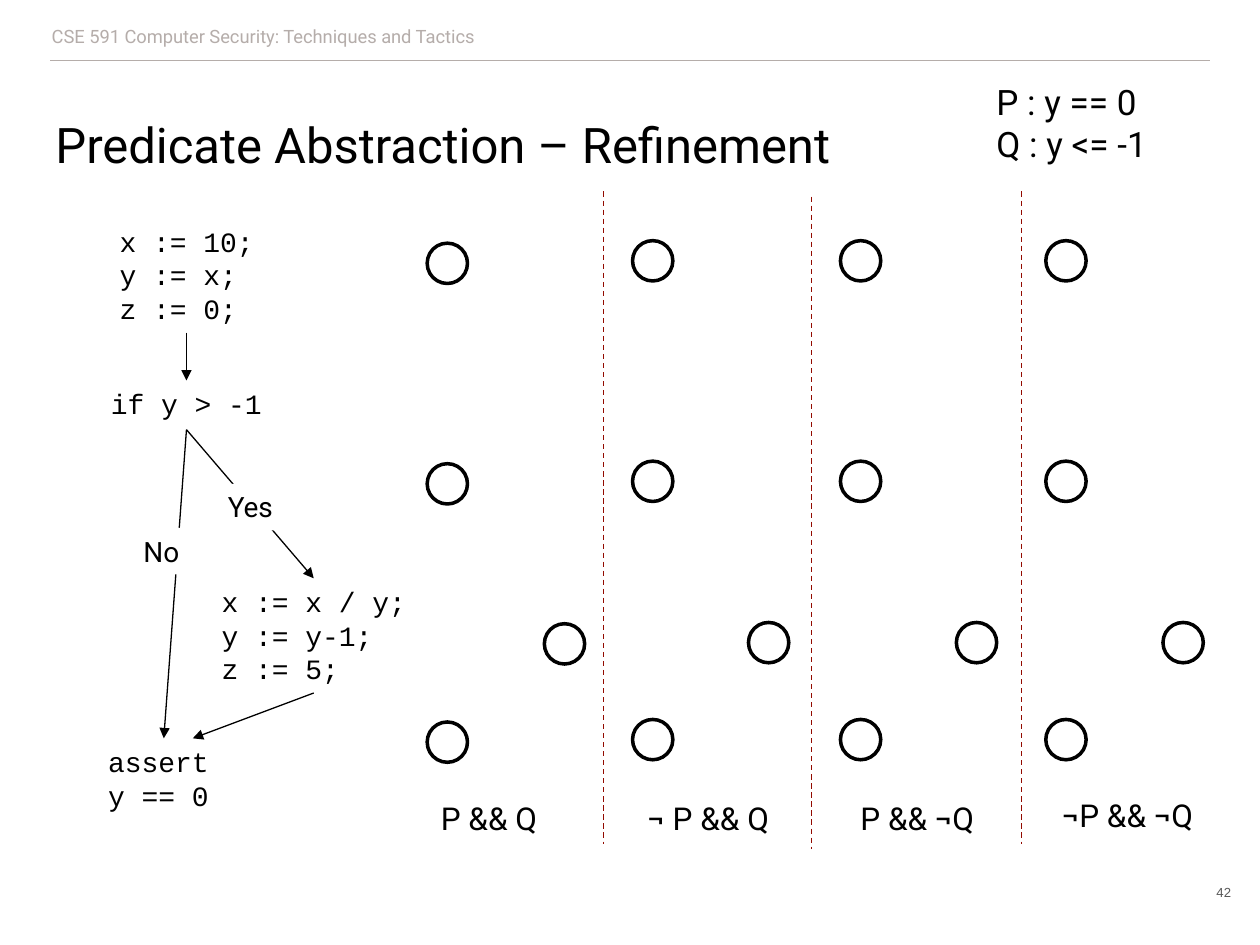
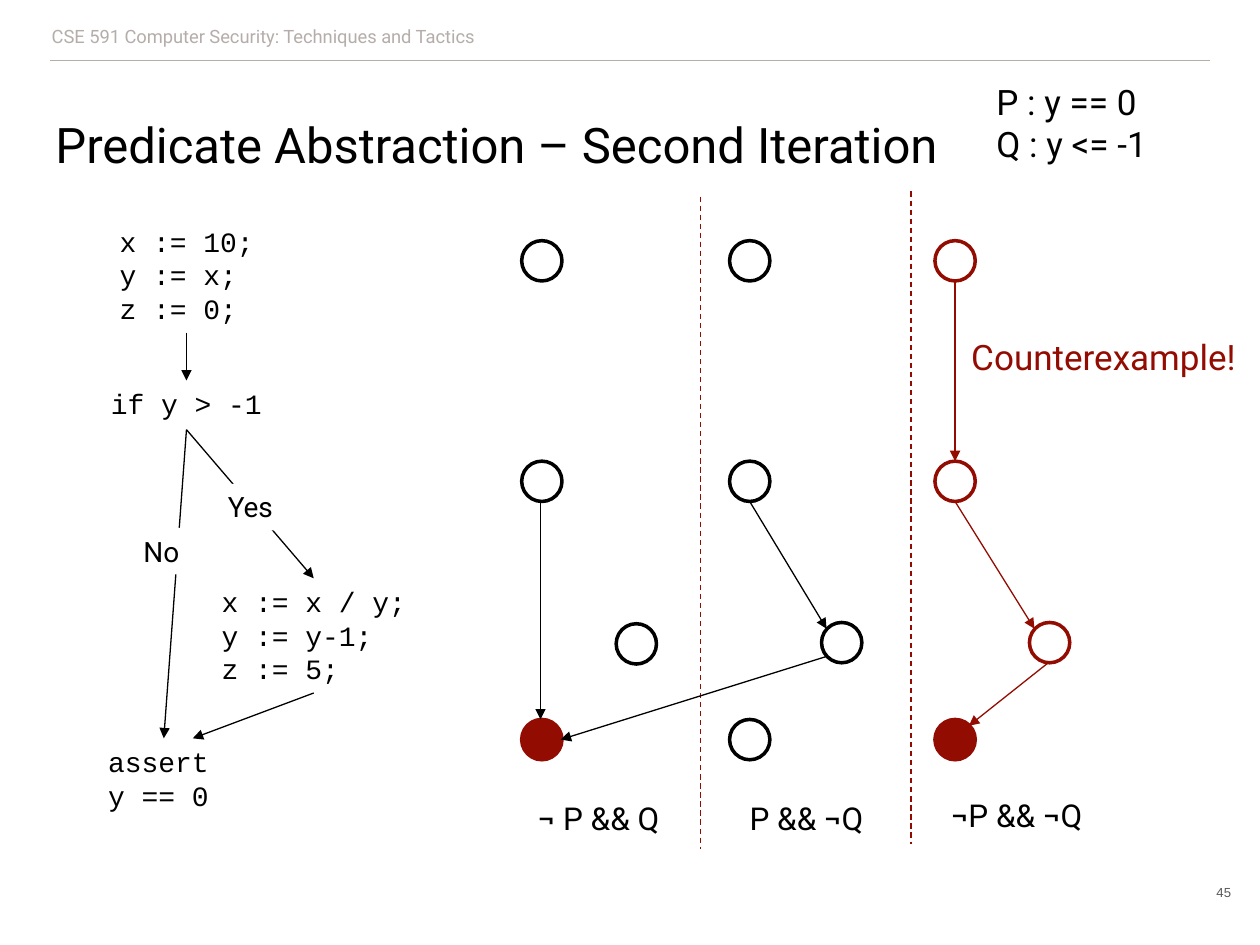
from dataclasses import dataclass

from lxml import etree
from pptx import Presentation
from pptx.dml.color import RGBColor
from pptx.enum.dml import MSO_LINE
from pptx.enum.shapes import MSO_CONNECTOR, MSO_SHAPE
from pptx.enum.text import MSO_ANCHOR, PP_ALIGN
from pptx.oxml.ns import qn
from pptx.util import Inches, Pt

LEFT, RIGHT = PP_ALIGN.LEFT, PP_ALIGN.RIGHT
TOP, MIDDLE = MSO_ANCHOR.TOP, MSO_ANCHOR.MIDDLE
STRAIGHT, ELLIPSE, DASH = MSO_CONNECTOR.STRAIGHT, MSO_SHAPE.OVAL, MSO_LINE.DASH

BLACK, WHITE, GRAY, NUMBER_GRAY = "000000", "FFFFFF", "B5ADAA", "595959"
RED, DIVIDER_RED = "930C02", "920A00"
BODY_FONT, CODE_FONT, NUMBER_FONT = "Roboto", "Courier New", "Arial"
TITLE_ONLY = 5

STATE_SIZE = 0.32
STATE_TOPS = (1.91, 3.66, 4.94, 5.71)
BRANCH_ROW, ASSERT_ROW = 2, 3
DIVIDER_HEIGHT = 5.18


@dataclass(frozen=True)
class Box:
    left: float
    top: float
    width: float
    height: float

    def lengths(self) -> tuple:
        return tuple(Inches(n) for n in (self.left, self.top, self.width, self.height))


@dataclass(frozen=True)
class Segment:
    x1: float
    y1: float
    x2: float
    y2: float
    color: str = BLACK


@dataclass(frozen=True)
class CodeBlock:
    text: str
    box: Box
    inset: float = 0.16


@dataclass(frozen=True)
class Column:
    left: float
    branch_shift: float
    label: str
    label_box: Box
    color: str = BLACK
    failing: bool = False
    drop: float = 0
    branch_drop: float = 0


@dataclass(frozen=True)
class Divider:
    left: float
    top: float


@dataclass(frozen=True)
class StateSlide:
    title: str
    number: str
    columns: tuple[Column, ...]
    dividers: tuple[Divider, ...]
    transitions: tuple[Segment, ...] = ()
    verdict: str = ""


CODE_BLOCKS = (
    CodeBlock("x := 10;\ny := x;\nz := 0;", Box(0.79, 1.73, 1.38, 0.91)),
    CodeBlock("if y > -1", Box(0.72, 3.02, 1.52, 0.4)),
    CodeBlock("x := x / y;\ny := y-1;\nz := 5;", Box(1.6, 4.59, 1.76, 0.91)),
    CodeBlock("assert\ny == 0", Box(0.76, 5.86, 1.08, 0.64), 0.1),
)
FLOW = (
    Segment(1.48, 2.64, 1.48, 3.02),
    Segment(1.48, 3.41, 1.3, 5.86),
    Segment(1.48, 3.41, 2.49, 4.59),
    Segment(2.49, 5.5, 1.53, 5.86),
)
BRANCH_LABELS = {
    "Yes": Box(1.71, 3.84, 0.57, 0.37),
    "No": Box(1.04, 4.19, 0.49, 0.37),
}

SLIDES = (
    StateSlide(
        "Predicate Abstraction – Refinement",
        "42",
        (
            Column(3.39, 0.93, "P && Q", Box(3.4, 6.29, 0.98, 0.4),
                   drop=0.02, branch_drop=0.01),
            Column(5.02, 0.92, "¬ P && Q", Box(5.04, 6.29, 1.19, 0.4)),
            Column(6.67, 0.92, "P && ¬Q", Box(6.73, 6.29, 1.12, 0.4)),
            Column(8.3, 0.93, "¬P && ¬Q", Box(8.33, 6.27, 1.26, 0.4)),
        ),
        (Divider(4.79, 1.52), Divider(6.44, 1.56), Divider(8.11, 1.52)),
    ),
    StateSlide(
        "Predicate Abstraction – Second Iteration",
        "45",
        (
            Column(4.14, 0.75, "¬ P && Q", Box(4.17, 6.29, 1.19, 0.4),
                   failing=True, branch_drop=0.01),
            Column(5.79, 0.73, "P && ¬Q", Box(5.85, 6.29, 1.12, 0.4)),
            Column(7.42, 0.75, "¬P && ¬Q", Box(7.45, 6.27, 1.26, 0.4),
                   color=RED, failing=True),
        ),
        (Divider(5.56, 1.56), Divider(7.23, 1.52)),
        (
            Segment(4.29, 3.98, 4.29, 5.71),
            Segment(5.95, 3.98, 6.56, 4.99),
            Segment(6.56, 5.21, 4.45, 5.87),
            Segment(7.58, 2.23, 7.58, 3.66, RED),
            Segment(7.58, 3.98, 8.21, 4.99, RED),
            Segment(8.32, 5.26, 7.69, 5.76, RED),
        ),
        "Counterexample!",
    ),
)


def rgb(color: str) -> RGBColor:
    return RGBColor.from_string(color)


def write_text(shape, text: str, *, size: float, font: str = BODY_FONT,
               color: str = BLACK, align=LEFT, anchor=TOP, wrap: bool = False,
               inset: tuple[float, float] = (0.1, 0.05)) -> None:
    frame = shape.text_frame
    frame.text = text
    frame.word_wrap = wrap
    frame.vertical_anchor = anchor
    frame.margin_left, frame.margin_top = map(Inches, inset)
    frame.margin_right = Inches(min(inset[0], 0.1))
    frame.margin_bottom = frame.margin_top
    for paragraph in frame.paragraphs:
        paragraph.alignment = align
        for run in paragraph.runs:
            run.font.size = Pt(size)
            run.font.name = font
            run.font.color.rgb = rgb(color)


def add_text(slide, text: str, box: Box, *, fill: str = "", **text_format) -> None:
    shape = slide.shapes.add_textbox(*box.lengths())
    if fill:
        shape.fill.solid()
        shape.fill.fore_color.rgb = rgb(fill)
    write_text(shape, text, **text_format)


def add_line(slide, segment: Segment, *, arrow: bool = False,
             dashed: bool = False) -> None:
    ends = (segment.x1, segment.y1, segment.x2, segment.y2)
    connector = slide.shapes.add_connector(STRAIGHT, *map(Inches, ends))
    connector.line.color.rgb = rgb(segment.color)
    connector.line.width = Pt(0.75)
    if dashed:
        connector.line.dash_style = DASH
    properties = connector._element.spPr
    if arrow:
        line = properties.find(qn("a:ln"))
        etree.SubElement(line, qn("a:tailEnd"), type="triangle")
    etree.SubElement(properties, qn("a:effectLst"))


def add_state(slide, left: float, top: float, fill: str, outline: str) -> None:
    box = Box(left, top, STATE_SIZE, STATE_SIZE)
    shape = slide.shapes.add_shape(ELLIPSE, *box.lengths())
    shape.shadow.inherit = False
    shape.fill.solid()
    shape.fill.fore_color.rgb = rgb(fill)
    shape.line.color.rgb = rgb(outline)
    shape.line.width = Pt(2)


def add_column(slide, column: Column) -> None:
    for row, top in enumerate(STATE_TOPS):
        branch = row == BRANCH_ROW
        failed = column.failing and row == ASSERT_ROW
        add_state(
            slide,
            column.left + (column.branch_shift if branch else 0),
            top + (column.branch_drop if branch else column.drop),
            RED if failed else WHITE,
            RED if failed else column.color,
        )
    add_text(slide, column.label, column.label_box, size=18)


def add_frame(slide, title: str, number: str) -> None:
    add_line(slide, Segment(0.4, 0.48, 9.6, 0.48, GRAY))
    add_text(slide, "CSE 591 Computer Security: Techniques and Tactics",
             Box(0.34, 0.13, 6.58, 0.45), size=10.5, color=GRAY, wrap=True,
             inset=(0.07, 0.07))
    placeholder = slide.shapes.title
    (placeholder.left, placeholder.top, placeholder.width,
     placeholder.height) = Box(0.34, 0.73, 9.32, 0.83).lengths()
    write_text(placeholder, title, size=28, anchor=MIDDLE, wrap=True,
               inset=(0.1, 0.1))
    add_text(slide, number, Box(9.27, 6.8, 0.6, 0.57), size=7.5,
             font=NUMBER_FONT, color=NUMBER_GRAY, align=RIGHT, anchor=MIDDLE,
             wrap=True, inset=(0.1, 0.1))
    add_text(slide, "P : y == 0\nQ : y <= -1", Box(7.81, 0.59, 1.41, 0.77), size=20)


def add_program(slide) -> None:
    for segment in FLOW:
        add_line(slide, segment, arrow=True)
    for block in CODE_BLOCKS:
        add_text(slide, block.text, block.box, size=16, font=CODE_FONT, wrap=True,
                 inset=(block.inset, 0.05))
    for label, box in BRANCH_LABELS.items():
        add_text(slide, label, box, size=16, fill=WHITE)


def add_state_slide(presentation, content: StateSlide) -> None:
    slide = presentation.slides.add_slide(presentation.slide_layouts[TITLE_ONLY])
    add_frame(slide, content.title, content.number)
    for divider in content.dividers:
        bottom = divider.top + DIVIDER_HEIGHT
        add_line(slide, Segment(divider.left, divider.top, divider.left, bottom,
                                DIVIDER_RED), dashed=True)
    for column in content.columns:
        add_column(slide, column)
    for transition in content.transitions:
        add_line(slide, transition, arrow=True)
    add_program(slide)
    if content.verdict:
        add_text(slide, content.verdict, Box(7.61, 2.61, 2.32, 0.44), size=20,
                 color=RED)


def main() -> None:
    presentation = Presentation()
    presentation.slide_width = Inches(10)
    presentation.slide_height = Inches(7.5)
    for content in SLIDES:
        add_state_slide(presentation, content)
    presentation.save("out.pptx")


if __name__ == "__main__":
    main()
